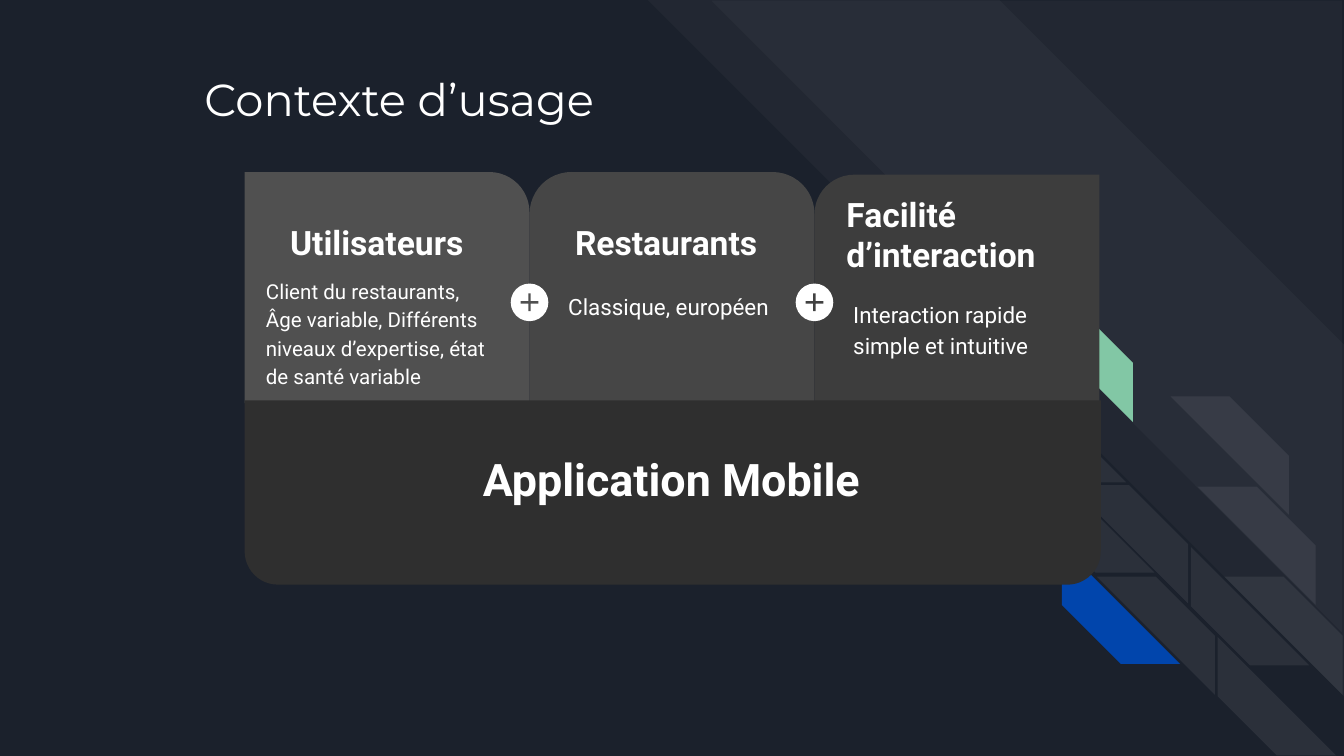
import pptx
import pptx.util
import pptx.dml.color
import pptx.enum.shapes
import pptx.enum.text
import pptx.oxml.ns
import lxml.etree

PX = 9144  # 100 px to the inch
COLORS = {
    "night": "1B212C", "white": "FFFFFF", "green": "82C7A5", "blue": "0145AC",
    "users": "505050", "restaurants": "464646", "ease": "3D3D3D",
    "app": "2F2F2F", "plus": "414141",
}
SHAPES = pptx.enum.shapes.MSO_SHAPE
ALIGN = pptx.enum.text.PP_ALIGN

presentation = pptx.Presentation()
presentation.slide_width = 1000 * PX
presentation.slide_height = presentation.slide_width * 9 // 16
slide = presentation.slides.add_slide(presentation.slide_layouts[5])
slide.background.fill.solid()
slide.background.fill.fore_color.rgb = pptx.dml.color.RGBColor.from_string(COLORS["night"])


def add_block(kind, box, color, adjust=(), turn=0, flip=False, opacity=100):
    block = slide.shapes.add_shape(kind, *[n * PX for n in box])
    block.shadow.inherit = False
    block.line.fill.background()
    block.fill.solid()
    block.fill.fore_color.rgb = pptx.dml.color.RGBColor.from_string(COLORS[color])
    block.rotation = turn
    for i, value in enumerate(adjust):
        block.adjustments[i] = value
    if flip:
        block._element.spPr.xfrm.set("flipH", "1")
    if opacity < 100:
        tint = block._element.spPr.find(".//" + pptx.oxml.ns.qn("a:srgbClr"))
        lxml.etree.SubElement(tint, pptx.oxml.ns.qn("a:alpha"), val=str(opacity * 1000))


def write(holder, box, words, size, face="Roboto", bold=False, spacing=1.0, align=ALIGN.LEFT):
    holder.left, holder.top, holder.width, holder.height = [n * PX for n in box]
    frame = holder.text_frame
    frame.word_wrap = True
    frame.auto_size = pptx.enum.text.MSO_AUTO_SIZE.NONE
    frame.vertical_anchor = pptx.enum.text.MSO_ANCHOR.TOP
    frame.margin_left = frame.margin_right = frame.margin_top = frame.margin_bottom = 10 * PX
    frame.text = words
    paragraph = frame.paragraphs[0]
    paragraph.alignment = align
    paragraph.line_spacing = spacing
    paragraph.font.name = face
    paragraph.font.size = pptx.util.Pt(size)
    paragraph.font.bold = bold
    paragraph.font.color.rgb = pptx.dml.color.RGBColor.from_string(COLORS["white"])


# Wide diagonal bands in the background
add_block(SHAPES.DIAGONAL_STRIPE, (482, 0, 518, 518), "white", [0.495], 90, opacity=3)
add_block(SHAPES.DIAGONAL_STRIPE, (529, 1, 470, 469), "white", [0], 90, opacity=3)

# Slanted bricks: left, top, mirrored (otherwise turned), color, opacity
bricks = [
    (755, 226, True, "green", 100),
    (750, 271, False, "white", 7),
    (871, 295, True, "white", 7),
    (891, 362, True, "white", 7),
    (771, 338, False, "white", 7),
    (796, 361, True, "white", 7),
    (790, 406, False, "blue", 100),
    (816, 429, True, "white", 7),
    (886, 407, False, "white", 7),
    (911, 429, True, "white", 7),
    (906, 474, False, "white", 7),
]
for left, top, mirrored, color, opacity in bricks:
    add_block(SHAPES.DIAGONAL_STRIPE, (left, top, 88, 88), color, [0.5],
              0 if mirrored else 270, mirrored, opacity)

# Title
write(slide.shapes.title, (142, 43, 770, 100), "Contexte d’usage", 24, "Montserrat")

# Three cards: shape, top, adjustments, mirrored, color, heading, detail
CARD_LEFT, CARD_WIDTH, CARD_BOTTOM = 182, 212, 300
cards = [
    (SHAPES.ROUND_1_RECTANGLE, 128, [0.174], False, "users",
     "Utilisateurs", (206, 155, 159, 50),
     "Client du restaurants, Âge variable, Différents niveaux d’expertise, état de santé variable",
     (188, 195, 192, 76), 11),
    (SHAPES.ROUND_2_SAME_RECTANGLE, 128, [0.181, 0], False, "restaurants",
     "Restaurants", (418, 155, 159, 50),
     "Classique, européen", (413, 205, 174, 56), 12),
    (SHAPES.ROUND_1_RECTANGLE, 130, [0.174], True, "ease",
     "Facilité d’interaction", (620, 134, 187, 50),
     "Interaction rapide simple et intuitive", (625, 211, 159, 55), 12),
]
for i, (kind, top, adjust, mirrored, color, heading, heading_box,
        detail, detail_box, detail_size) in enumerate(cards):
    card_box = (CARD_LEFT + i * CARD_WIDTH, top, CARD_WIDTH, CARD_BOTTOM - top)
    add_block(kind, card_box, color, adjust, flip=mirrored)
    write(slide.shapes.add_textbox(0, 0, 0, 0), heading_box, heading, 18, bold=True)
    write(slide.shapes.add_textbox(0, 0, 0, 0), detail_box, detail, detail_size, spacing=1.15)

# Plus badges on the seams between cards
for i, color in enumerate(["users", "plus"], start=1):
    seam = CARD_LEFT + i * CARD_WIDTH
    add_block(SHAPES.OVAL, (seam - 14, 211, 28, 28), "white")
    add_block(SHAPES.MATH_PLUS, (seam - 9, 216, 18, 18), color, [0.099])

# Shared base under the cards
add_block(SHAPES.ROUND_2_SAME_RECTANGLE, (CARD_LEFT, 298, 637, 137), "app", [0.181, 0], 180)
write(slide.shapes.add_textbox(0, 0, 0, 0), (282, 326, 435, 38), "Application Mobile", 24,
      bold=True, align=ALIGN.CENTER)

presentation.save("out.pptx")
